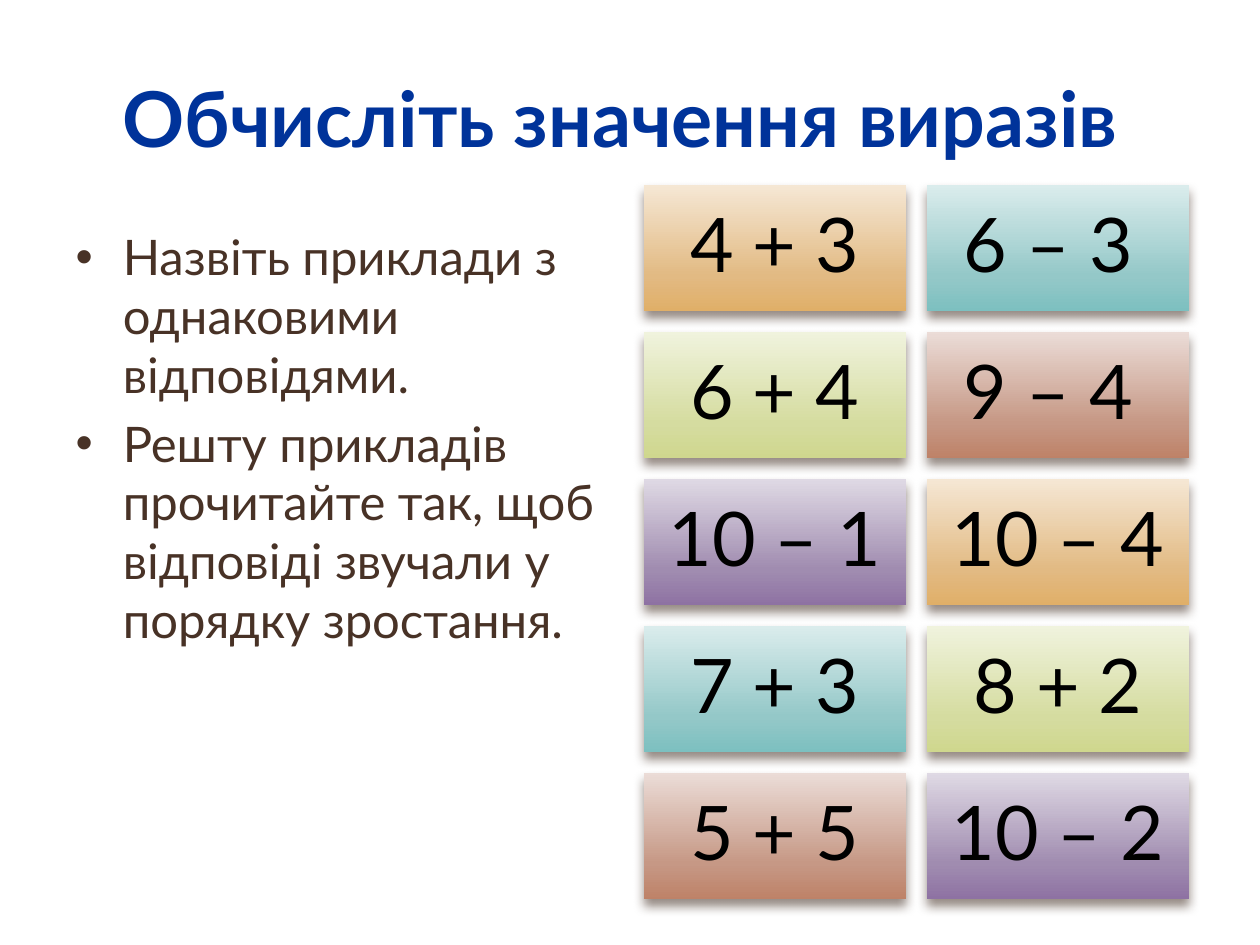
"""Build a slide of arithmetic tiles beside a bulleted task list."""
from copy import deepcopy
from dataclasses import dataclass

from lxml.etree import SubElement
from pptx import Presentation
from pptx.dml.color import RGBColor
from pptx.enum.shapes import MSO_SHAPE
from pptx.enum.text import MSO_ANCHOR, PP_ALIGN
from pptx.oxml.ns import qn
from pptx.util import Inches, Pt


@dataclass(frozen=True)
class Theme:
    font: str = "Lato"
    title: str = "00339A"
    body: str = "483226"
    tile: str = "000000"
    shadow: str = "4E3B30"
    title_size: int = 44
    body_size: int = 28
    tile_size: int = 43
    stops: tuple = (0, 0.72, 1)
    gradients: tuple = (
        ("F5E7D4", "E2BA83", "E0AF68"),
        ("DAECEC", "94C8C8", "7DC0C0"),
        ("F0F3DD", "D5DCA0", "CFD78E"),
        ("EBDCD7", "C69885", "BE8268"),
        ("DFD9E4", "A08CB0", "8E72A3"),
    )


@dataclass(frozen=True)
class Grid:
    left: float = 5.11
    top: float = 1.47
    width: float = 2.08
    height: float = 1.0
    columns: int = 2
    gap_share: float = 0.08

    def cell(self, index: int) -> tuple:
        row, column = divmod(index, self.columns)
        gap = self.width * self.gap_share
        return (Inches(self.left + column * (self.width + gap)),
                Inches(self.top + row * (self.height + gap)),
                Inches(self.width), Inches(self.height))


@dataclass(frozen=True)
class Tile:
    text: str
    colors: tuple


THEME = Theme()
GRID = Grid()
TITLE = "Обчисліть значення виразів "
TASKS = (
    "Назвіть приклади з однаковими відповідями.",
    "Решту прикладів прочитайте так, щоб відповіді звучали у порядку зростання.",
)
EXPRESSIONS = ("4 + 3", "6 – 3 ", "6 + 4", "9 – 4 ", "10 – 1",
               "10 – 4", "7 + 3", "8 + 2", "5 + 5", "10 – 2 ")


def write(p, text: str, *, size: int, color: str, bold=False, align=None) -> None:
    p.alignment = align
    r = p.add_run()
    r.text = text
    r.font.name = THEME.font
    r.font.size = Pt(size)
    r.font.bold = bold
    r.font.color.rgb = RGBColor.from_string(color)


def place(sp, left: float, top: float, width: float, height: float) -> None:
    sp.left, sp.top = Inches(left), Inches(top)
    sp.width, sp.height = Inches(width), Inches(height)


def fill_gradient(sp, colors: tuple) -> None:
    sp.fill.gradient()
    sp.fill.gradient_angle = 270
    stop_list = sp._element.spPr.find(".//" + qn("a:gsLst"))
    stop_list.append(deepcopy(stop_list[0]))
    for stop, position, color in zip(sp.fill.gradient_stops, THEME.stops, colors):
        stop.position = position
        stop.color.rgb = RGBColor.from_string(color)


def cast_shadow(sp) -> None:
    sp.shadow.inherit = False
    effects = sp._element.spPr.find(qn("a:effectLst"))
    outer = SubElement(effects, qn("a:outerShdw"), blurRad=str(Pt(6)),
                       dist=str(Pt(4)), dir="5400000", rotWithShape="0")
    color = SubElement(outer, qn("a:srgbClr"), val=THEME.shadow)
    SubElement(color, qn("a:alpha"), val="60000")


def space_after_share(p, share: float) -> None:
    p.space_after = Pt(0)
    after = p._p.pPr.find(qn("a:spcAft"))
    after.remove(after[0])
    SubElement(after, qn("a:spcPct"), val=str(round(share * 100000)))


def draw_tile(s, index: int, tile: Tile) -> None:
    sp = s.shapes.add_shape(MSO_SHAPE.RECTANGLE, *GRID.cell(index))
    fill_gradient(sp, tile.colors)
    sp.line.fill.background()
    cast_shadow(sp)
    tf = sp.text_frame
    tf.word_wrap = True
    tf.vertical_anchor = MSO_ANCHOR.MIDDLE
    tf.margin_left = tf.margin_right = Inches(0.18)
    tf.margin_top = tf.margin_bottom = Inches(0.18)
    p = tf.paragraphs[0]
    p.line_spacing = 0.9
    space_after_share(p, 0.35)
    write(p, tile.text, size=THEME.tile_size, color=THEME.tile, align=PP_ALIGN.CENTER)


def draw_tasks(body) -> None:
    place(body, 0.5, 1.75, 4.42, 4.95)
    tf = body.text_frame
    for i, task in enumerate(TASKS):
        p = tf.add_paragraph() if i else tf.paragraphs[0]
        if i == 0:
            p.space_before = Pt(0)
        write(p, task, size=THEME.body_size, color=THEME.body)


def main() -> None:
    prs = Presentation()
    prs.slide_width, prs.slide_height = Inches(10), Inches(7.5)
    s = prs.slides.add_slide(prs.slide_layouts[1])
    title, body = s.placeholders
    place(title, 0.5, 0.3, 9, 1.25)
    write(title.text_frame.paragraphs[0], TITLE, size=THEME.title_size,
          color=THEME.title, bold=True, align=PP_ALIGN.CENTER)
    draw_tasks(body)
    for i, text in enumerate(EXPRESSIONS):
        draw_tile(s, i, Tile(text, THEME.gradients[i % len(THEME.gradients)]))
    prs.save("out.pptx")


if __name__ == "__main__":
    main()
